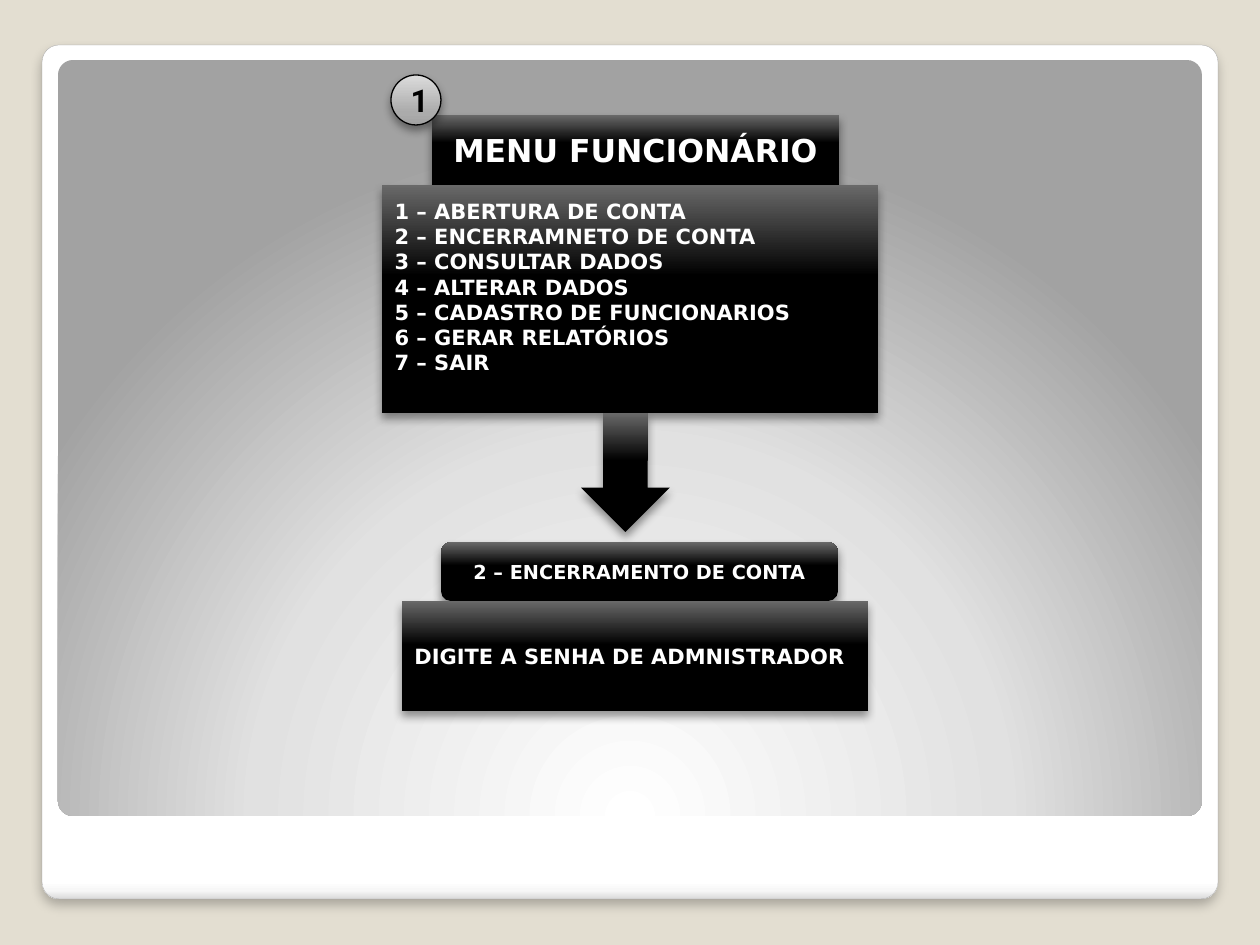
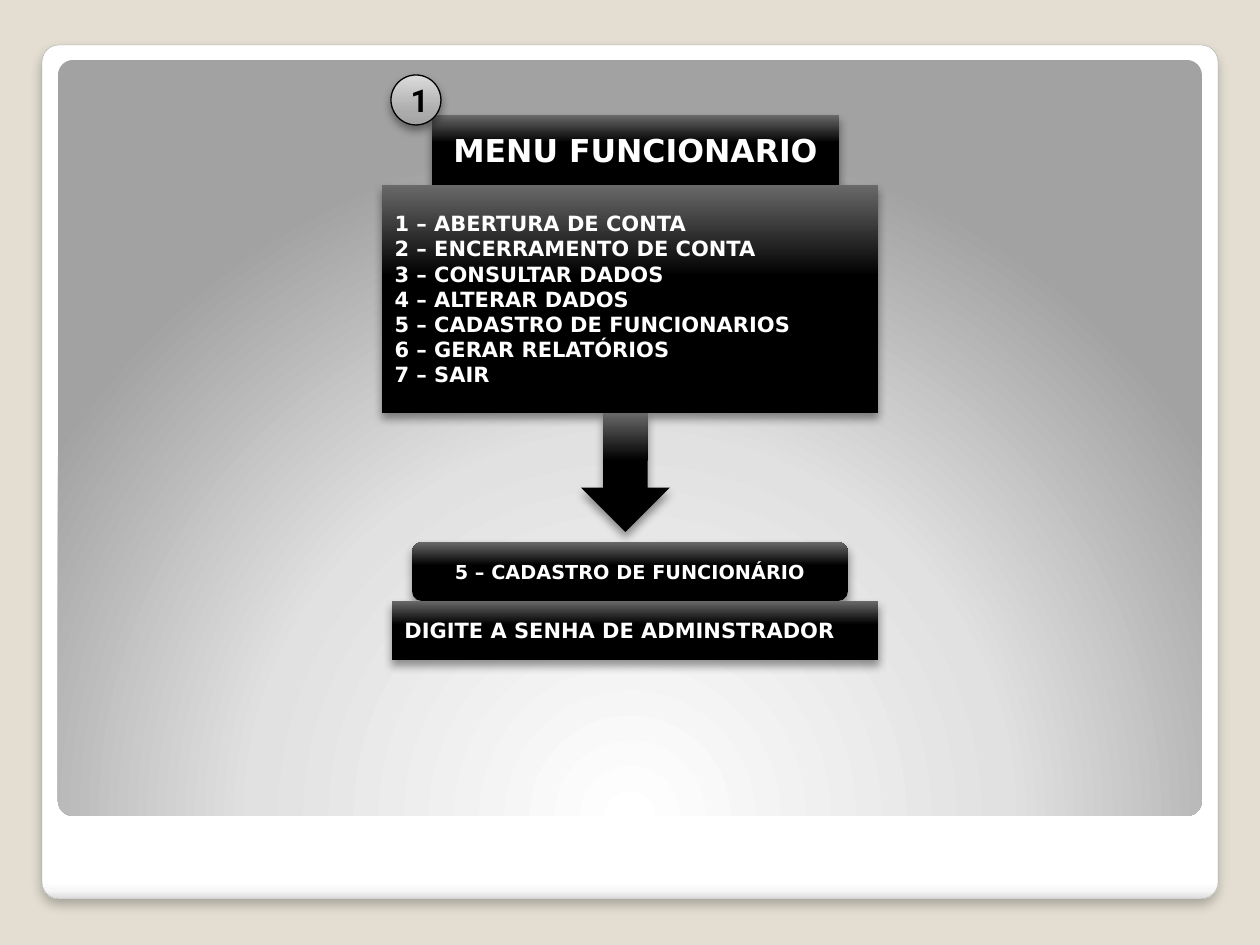
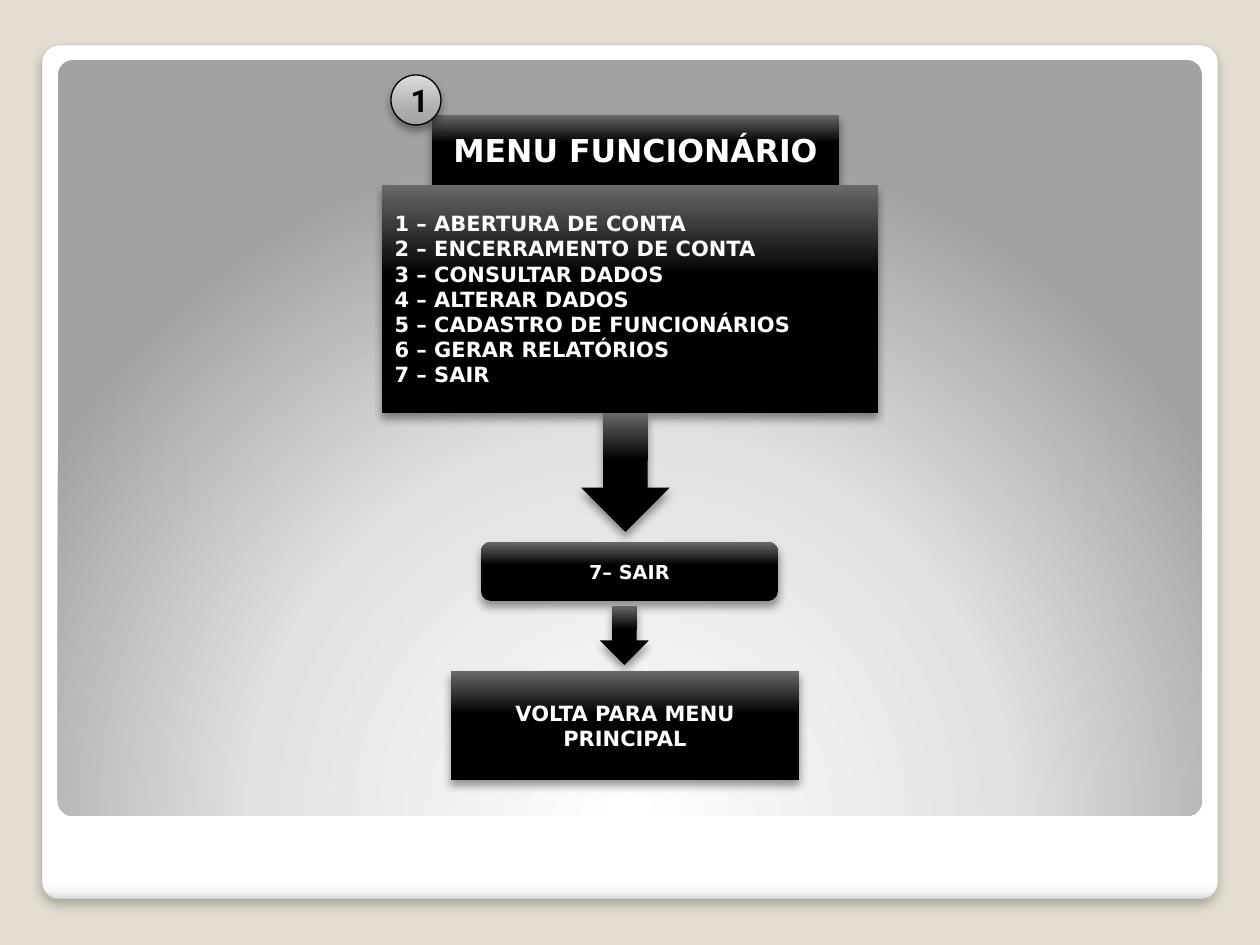
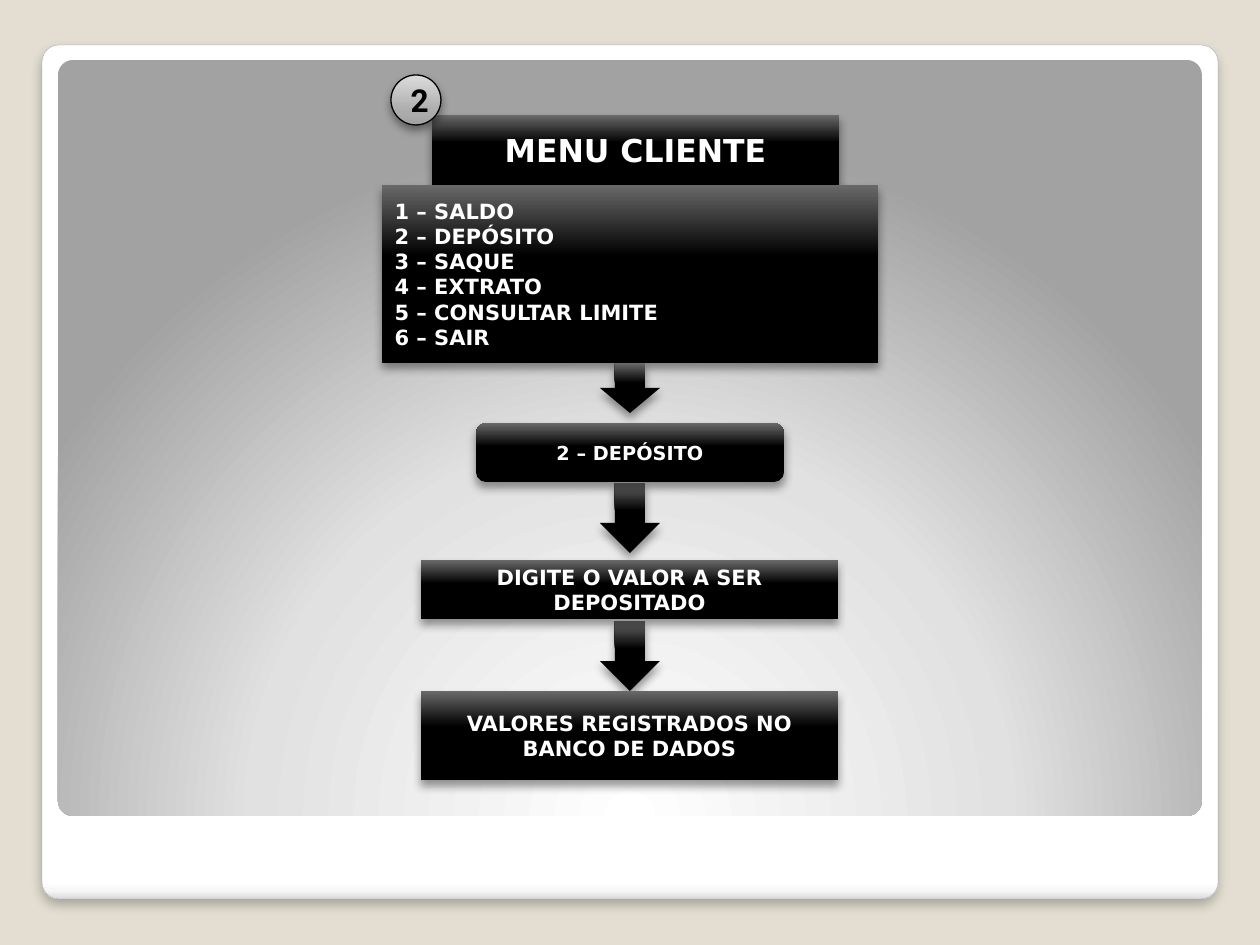
import pptx
import pptx.util
import pptx.dml.color
import pptx.enum.shapes
import pptx.enum.text
import pptx.oxml
import pptx.oxml.ns

KIND = pptx.enum.shapes.MSO_SHAPE
ALIGN = pptx.enum.text.PP_ALIGN
PX = 914400 / 126

SAND, WHITE, BLACK, EDGE = "E3DED1", "FFFFFF", "000000", "A4A4A4"
GLOSS = [(0, BLACK), (60, BLACK), (100, "696969")]
SILVER = [(0, "A2A2A2"), (25, "ABABAB"), (100, "DCDCDC")]
PAPER = [(0, WHITE), (98, WHITE), (99, "F7F7F7"), (100, "DADADA")]
GLOW = [(0, WHITE), (55, "E1E1E1"), (100, "A2A2A2")]

STAFF = [
    "1 – ABERTURA DE CONTA",
    "2 – ENCERRAMENTO DE CONTA",
    "3 – CONSULTAR DADOS",
    "4 – ALTERAR DADOS",
    "5 – CADASTRO DE FUNCIONARIOS",
    "6 – GERAR RELATÓRIOS",
    "7 – SAIR",
]
CLIENT = [
    "1 – SALDO",
    "2 – DEPÓSITO",
    "3 – SAQUE",
    "4 – EXTRATO",
    "5 – CONSULTAR LIMITE",
    "6 – SAIR",
]


def px(num):
    return pptx.util.Emu(round(num * PX))


def color(code):
    return pptx.dml.color.RGBColor.from_string(code)


def node(root, tag, **attrs):
    """Append an XML child with the given attributes."""
    item = pptx.oxml.ns.qn(tag)
    child = root.makeelement(item, {key: str(val) for key, val in attrs.items()})
    root.append(child)
    return child


def paint(shape, stops, angle=270, focus=None):
    """Fill with a gradient: linear, or round when focus gives l, t, r, b in percent."""
    shape.fill.gradient()
    grad = shape.element.spPr.find(pptx.oxml.ns.qn("a:gradFill"))
    grad.clear()
    grad.set("rotWithShape", "1")
    group = node(grad, "a:gsLst")
    for place, code in stops:
        stop = node(group, "a:gs", pos=place * 1000)
        node(stop, "a:srgbClr", val=code)
    if focus:
        sides = {side: val * 1000 for side, val in zip("ltrb", focus)}
        node(node(grad, "a:path", path="circle"), "a:fillToRect", **sides)
    else:
        node(grad, "a:lin", ang=angle * 60000, scaled=0)


def edge(shape, code=None, width=0.75):
    if code:
        shape.line.color.rgb = color(code)
        shape.line.width = pptx.util.Pt(width)
    else:
        shape.line.fill.background()


def shade(shape, alpha=40, blur=5.2, dist=3):
    shape.shadow.inherit = False
    group = shape.element.spPr.find(pptx.oxml.ns.qn("a:effectLst"))
    drop = node(group, "a:outerShdw", blurRad=pptx.util.Pt(blur),
                dist=pptx.util.Pt(dist), dir=90 * 60000, rotWithShape=0)
    node(node(drop, "a:srgbClr", val=BLACK), "a:alpha", val=alpha * 1000)


def write(shape, lines, size=12, font="DejaVu Sans", ink=WHITE, align=ALIGN.CENTER):
    frame = shape.text_frame
    frame.word_wrap = True
    frame.auto_size = pptx.enum.text.MSO_AUTO_SIZE.NONE
    frame.vertical_anchor = pptx.enum.text.MSO_ANCHOR.MIDDLE
    for num, line in enumerate(lines):
        para = frame.add_paragraph() if num else frame.paragraphs[0]
        props = para._p.get_or_add_pPr()
        props.set("marL", "0")
        props.set("indent", "0")
        node(props, "a:buNone")
        para.alignment = align
        para.space_before = pptx.util.Pt(0)
        run = para.add_run()
        run.text = line
        run.font.size = pptx.util.Pt(size)
        run.font.name = font
        run.font.bold = True
        run.font.color.rgb = color(ink)


def place(shape, kind, left, top, width, height):
    """Move a placeholder and give it a preset outline."""
    shape.left, shape.top = px(left), px(top)
    shape.width, shape.height = px(width), px(height)
    node(node(shape.element.spPr, "a:prstGeom", prst=kind), "a:avLst")


def add(slide, kind, left, top, width, height):
    return slide.shapes.add_shape(kind, px(left), px(top), px(width), px(height))


def gloss(shape):
    paint(shape, GLOSS)
    edge(shape)
    shade(shape)


def label(slide, text, left, top, width):
    shape = add(slide, KIND.ROUNDED_RECTANGLE, left, top, width, 59)
    gloss(shape)
    write(shape, [text], size=11)


def box(slide, text, left, top, width, height, align=ALIGN.CENTER):
    shape = add(slide, KIND.RECTANGLE, left, top, width, height)
    gloss(shape)
    write(shape, [text], align=align)


def arrow(slide, left, top, width, height):
    gloss(add(slide, KIND.DOWN_ARROW, left, top, width, height))


def badge(slide, text):
    shape = add(slide, KIND.OVAL, 391, 75, 50, 50)
    paint(shape, SILVER)
    edge(shape, BLACK)
    shade(shape)
    write(shape, [text], size=18, font="Roboto", ink=BLACK)


def menu(deck, num, title, items, height=228):
    """Add a slide with its title, numbered badge and list of choices."""
    slide = deck.slides.add_slide(deck.slide_layouts[1])
    head, body = slide.placeholders
    place(head, "roundRect", 432, 115, 407, 70)
    gloss(head)
    write(head, [title], size=18)
    place(body, "rect", 382, 185, 496, height)
    gloss(body)
    write(body, items, align=ALIGN.LEFT)
    badge(slide, num)
    return slide


def panel(deck, slide):
    """Draw the shared panels and move them to the slide master."""
    master = deck.slide_master
    master.background.fill.solid()
    master.background.fill.fore_color.rgb = color(SAND)

    sheet = add(slide, KIND.ROUNDED_RECTANGLE, 42, 45, 1176, 854)
    paint(sheet, PAPER, angle=90)
    edge(sheet, EDGE, 0.16)
    shade(sheet, alpha=25, blur=6, dist=4)

    inner = add(slide, KIND.ROUNDED_RECTANGLE, 58, 60, 1144, 756)
    paint(inner, GLOW, focus=(50, 175, 50, -75))
    edge(inner)
    inner.shadow.inherit = False

    for spot, shape in enumerate((sheet, inner), 2):
        shape.adjustments[0] = 0.02
        master.shapes.element.insert(spot, shape.element)


def main():
    deck = pptx.Presentation()
    deck.slide_width, deck.slide_height = px(1260), px(945)

    items = list(STAFF)
    items[1] = "2 – ENCERRAMNETO DE CONTA"
    close = menu(deck, "1", "MENU FUNCIONÁRIO", items)
    close.placeholders[1].text_frame.margin_bottom = px(31)
    panel(deck, close)
    arrow(close, 581, 413, 89, 119)
    label(close, "2 – ENCERRAMENTO DE CONTA", 441, 542, 397)
    box(close, "DIGITE A SENHA DE ADMNISTRADOR", 402, 601, 466, 110, ALIGN.LEFT)

    enrol = menu(deck, "1", "MENU FUNCIONARIO", STAFF)
    arrow(enrol, 581, 413, 89, 119)
    label(enrol, "5 – CADASTRO DE FUNCIONÁRIO", 412, 542, 436)
    box(enrol, "DIGITE A SENHA DE ADMINSTRADOR", 392, 601, 486, 59, ALIGN.LEFT)

    items = list(STAFF)
    items[4] = "5 – CADASTRO DE FUNCIONÁRIOS"
    leave = menu(deck, "1", "MENU FUNCIONÁRIO", items)
    arrow(leave, 581, 413, 89, 119)
    label(leave, "7– SAIR", 481, 542, 297)
    arrow(leave, 600, 606, 49, 59)
    box(leave, "VOLTA PARA MENU PRINCIPAL", 451, 671, 348, 109)

    pay = menu(deck, "2", "MENU CLIENTE", CLIENT, height=178)
    for top, height in ((363, 50), (483, 70), (621, 70)):
        arrow(pay, 600, top, 60, height)
    label(pay, "2 – DEPÓSITO", 476, 423, 308)
    box(pay, "DIGITE O VALOR A SER DEPOSITADO", 421, 560, 417, 59)
    box(pay, "VALORES REGISTRADOS NO BANCO DE DADOS", 421, 691, 417, 89)

    deck.save("out.pptx")


if __name__ == "__main__":
    main()
